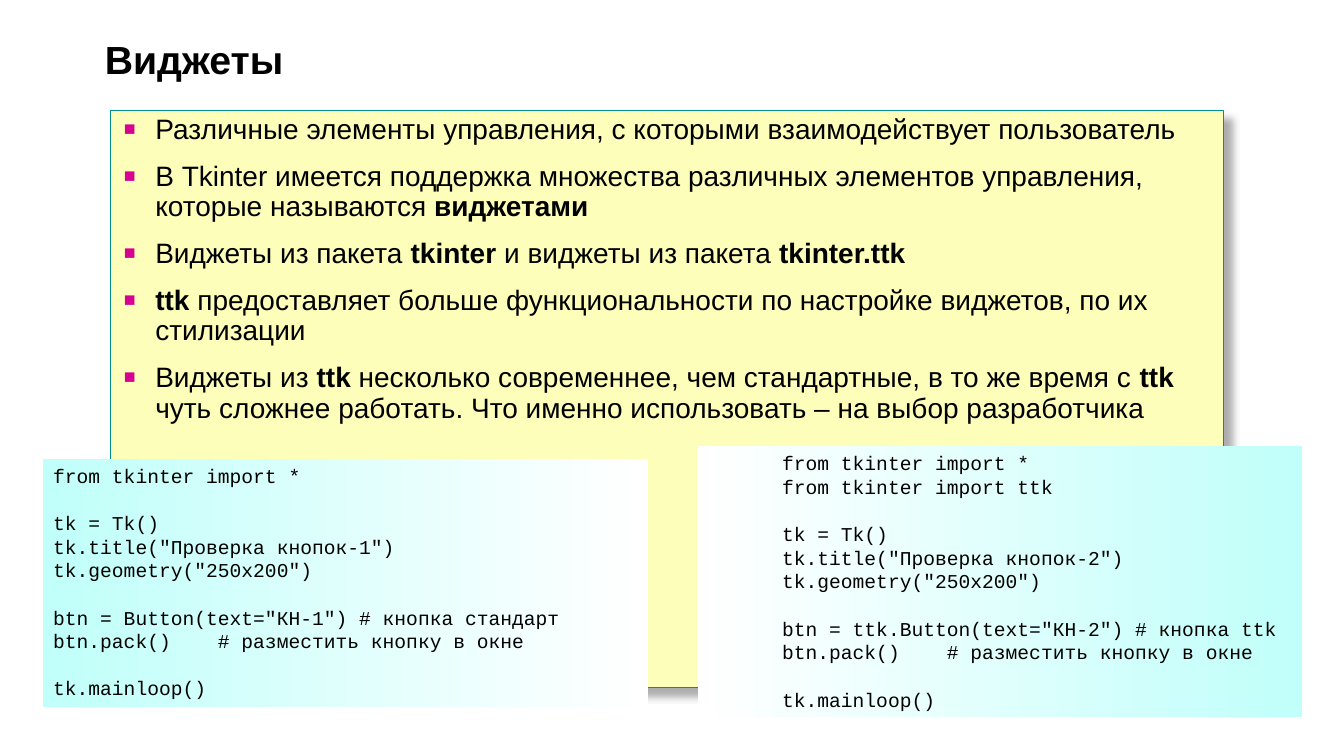
from dataclasses import dataclass

from lxml import etree
from pptx import Presentation
from pptx.dml.color import RGBColor
from pptx.enum.shapes import MSO_SHAPE
from pptx.enum.text import MSO_ANCHOR, MSO_AUTO_SIZE, PP_ALIGN
from pptx.oxml.ns import qn
from pptx.util import Cm, Pt

RECT = MSO_SHAPE.RECTANGLE
LEFT = PP_ALIGN.LEFT
TOP, MIDDLE = MSO_ANCHOR.TOP, MSO_ANCHOR.MIDDLE
NO_FIT, GROW = MSO_AUTO_SIZE.NONE, MSO_AUTO_SIZE.SHAPE_TO_FIT_TEXT


@dataclass(frozen=True)
class Theme:
    text: str = "000000"
    panel: str = "FCFEB9"
    border: str = "009094"
    shadow: str = "919191"
    bullet: str = "D60093"
    code_from: str = "FFFFFF"
    code_to: str = "C0FFFA"
    text_font: str = "Arial"
    code_font: str = "Courier New"
    title_size: int = 28
    body_size: int = 20
    code_size: int = 14
    code_line: int = 17


THEME = Theme()

TITLE = "Виджеты"

# Odd-numbered pieces between asterisks are bold
POINTS = [
    "Различные элементы управления, с которыми взаимодействует пользователь",
    "В Tkinter имеется поддержка множества различных элементов управления, "
    "которые называются *виджетами*",
    "Виджеты из пакета *tkinter *и виджеты из пакета *tkinter.ttk*",
    "*ttk *предоставляет больше функциональности по настройке виджетов, "
    "по их стилизации",
    "Виджеты из *ttk *несколько современнее, чем стандартные, в то же время с "
    "*ttk* чуть сложнее работать. Что именно использовать – на выбор разработчика",
]

STANDARD_CODE = """from tkinter import *

tk = Tk()
tk.title("Проверка кнопок-1")
tk.geometry("250x200")

btn = Button(text="КН-1") # кнопка стандарт
btn.pack()    # разместить кнопку в окне

tk.mainloop()"""

TTK_CODE = """from tkinter import *
from tkinter import ttk

tk = Tk()
tk.title("Проверка кнопок-2")
tk.geometry("250x200")

btn = ttk.Button(text="КН-2") # кнопка ttk
btn.pack()    # разместить кнопку в окне

tk.mainloop()"""


def color(value):
    return RGBColor.from_string(value)


def set_font(font, name, size, bold=None):
    font.name, font.size, font.bold = name, Pt(size), bold
    font.color.rgb = color(THEME.text)


def place(sp, box):
    sp.left, sp.top, sp.width, sp.height = (Cm(v) for v in box)


def add_child(parent, tag, **attrs):
    child = etree.SubElement(parent, qn(tag))
    for name, value in attrs.items():
        child.set(name, str(value))
    return child


def add_rect(s, box):
    sp = s.shapes.add_shape(RECT, *(Cm(v) for v in box))
    sp.shadow.inherit = False
    return sp


def add_panel(s, box):
    sp = add_rect(s, box)
    sp.fill.solid()
    sp.fill.fore_color.rgb = color(THEME.panel)
    sp.line.color.rgb = color(THEME.border)
    sp.line.width = Pt(1)
    # Soft shadow to the lower right
    effects = sp.element.spPr.find(qn("a:effectLst"))
    shadow = add_child(effects, "a:outerShdw", blurRad=Pt(5), dist=Pt(8.5),
                       dir=45 * 60000, algn="ctr", rotWithShape=0)
    tint = add_child(shadow, "a:srgbClr", val=THEME.shadow)
    add_child(tint, "a:alpha", val=75000)
    # Behind the placeholders
    s.shapes.element.insert(2, sp.element)


def add_title(s, box):
    sp = s.shapes.title
    place(sp, box)
    tf = sp.text_frame
    tf.text = TITLE
    tf.vertical_anchor, tf.auto_size = MIDDLE, NO_FIT
    p = tf.paragraphs[0]
    p.alignment, p.line_spacing = LEFT, 0.8
    set_font(p.font, THEME.text_font, THEME.title_size, True)


def add_bullet(p):
    pPr = p._p.get_or_add_pPr()
    pPr.set("marL", str(Cm(0.79)))
    pPr.set("indent", str(-Cm(0.79)))
    add_child(add_child(pPr, "a:buClr"), "a:srgbClr", val=THEME.bullet)
    add_child(pPr, "a:buSzPct", val=70000)
    add_child(pPr, "a:buFont", typeface=THEME.text_font)
    add_child(pPr, "a:buChar", char="■")


def add_points(s, box):
    sp = s.placeholders[1]
    place(sp, box)
    tf = sp.text_frame
    tf.vertical_anchor, tf.auto_size = TOP, NO_FIT
    for i, point in enumerate(POINTS):
        p = tf.add_paragraph() if i else tf.paragraphs[0]
        p.alignment, p.line_spacing = LEFT, 0.9
        p.space_before = Pt(0.6 * THEME.body_size if i else 0)
        add_bullet(p)
        set_font(p.font, THEME.text_font, THEME.body_size)
        for k, piece in enumerate(point.split("*")):
            if piece:
                r = p.add_run()
                r.text = piece
                r.font.bold = k % 2 == 1


def add_code(s, box, code, angle, margin=0):
    sp = add_rect(s, box)
    sp.line.fill.background()
    sp.fill.gradient()
    sp.fill.gradient_angle = angle
    for stop, tint in zip(sp.fill.gradient_stops, (THEME.code_from, THEME.code_to)):
        stop.color.rgb = color(tint)
    tf = sp.text_frame
    tf.word_wrap, tf.auto_size, tf.vertical_anchor = True, GROW, TOP
    # Each group of code lines is set off by one line of space
    for g, group in enumerate(code.split("\n\n")):
        for i, line in enumerate(group.split("\n")):
            p = tf.add_paragraph() if g or i else tf.paragraphs[0]
            p.text = line
            p.alignment = LEFT
            p.space_before = Pt(THEME.code_line if g and not i else 0)
            p._p.get_or_add_pPr().set("marL", str(Cm(margin)))
            set_font(p.font, THEME.code_font, THEME.code_size)


def build_slide(prs):
    s = prs.slides.add_slide(prs.slide_layouts[1])
    add_title(s, (2.39, 0.43, 30.33, 2.34))
    add_points(s, (2.87, 2.77, 27.91, 11.91))
    add_panel(s, (2.79, 2.79, 28.04, 14.53))
    add_code(s, (1.09, 11.56, 15.24, 6.25), STANDARD_CODE, 180)
    add_code(s, (17.58, 11.25, 15.24, 6.83), TTK_CODE, 0, margin=1.88)


prs = Presentation()
prs.slide_width, prs.slide_height = Cm(33.87), Cm(19.05)
build_slide(prs)
prs.save("out.pptx")
